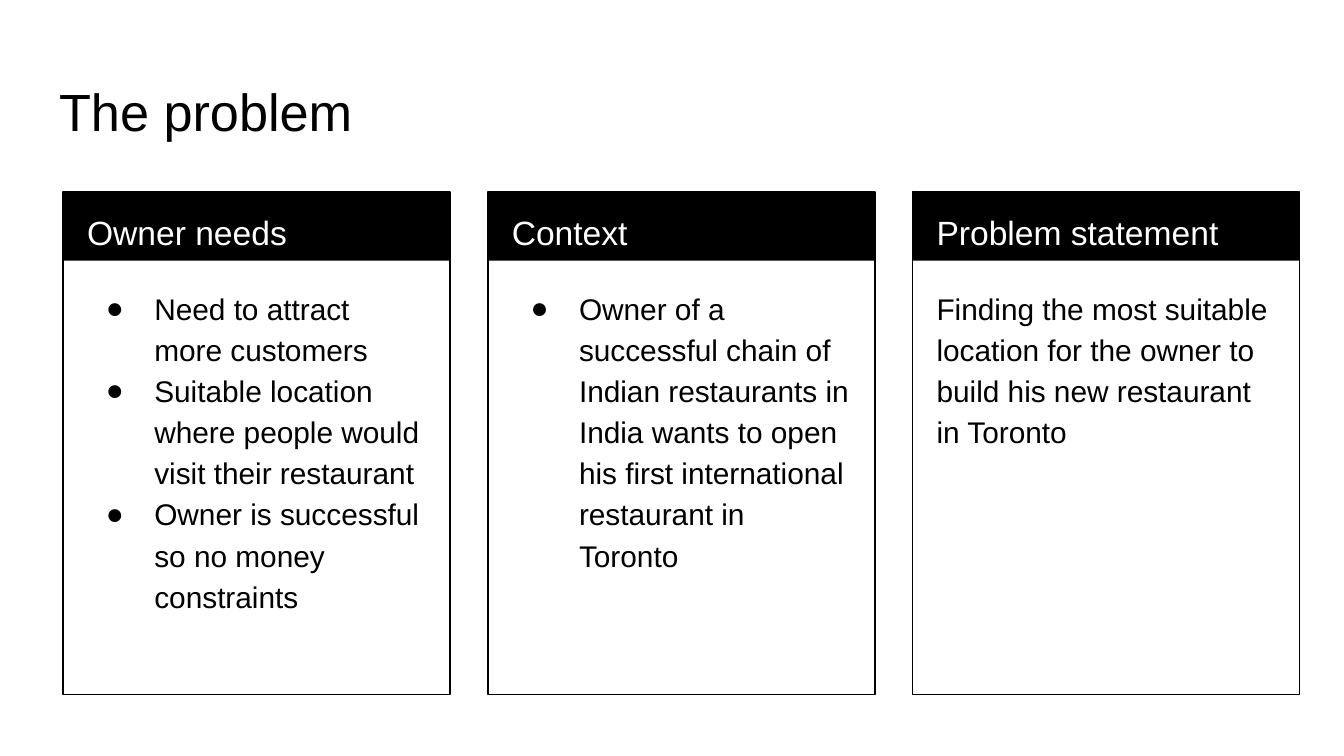
from lxml.etree import SubElement
from pptx import Presentation
from pptx.dml.color import RGBColor
from pptx.enum.shapes import MSO_SHAPE as Shape
from pptx.enum.text import MSO_ANCHOR as Anchor, PP_ALIGN as Align
from pptx.oxml.ns import qn
from pptx.util import Inches, Pt

# Content
TITLE = "The problem"
CARDS = [
    ("Owner needs", True, [
        "Need to attract more customers",
        "Suitable location where people would visit their restaurant",
        "Owner is successful so no money constraints",
    ]),
    ("Context", True, [
        "Owner of a successful chain of Indian restaurants in India "
        "wants to open his first international restaurant in Toronto",
    ]),
    ("Problem statement", False, [
        "Finding the most suitable location for the owner to build "
        "his new restaurant in Toronto",
    ]),
]

# Style and grid, in inches
BLACK = RGBColor(0, 0, 0)
WHITE = RGBColor(255, 255, 255)
FONT = "Arial"
LEFT, TOP, STEP = 0.47, 1.43, 3.16
CARD_WIDTH, CARD_HEIGHT, HEADER_HEIGHT = 2.88, 3.74, 0.51


def add_bullet(para):
    properties = para._p.get_or_add_pPr()
    properties.set("marL", str(Inches(0.5)))
    properties.set("indent", str(Inches(-0.36)))
    color = SubElement(properties, qn("a:buClr"))
    SubElement(color, qn("a:srgbClr"), val=str(BLACK))
    SubElement(properties, qn("a:buFont"), typeface=FONT)
    SubElement(properties, qn("a:buChar"), char="●")


def fill_text(box, lines, size, color, bulleted=False, spacing=1.15):
    frame = box.text_frame
    frame.text = "\n".join(lines)
    frame.word_wrap = True
    frame.vertical_anchor = Anchor.TOP
    frame.margin_left = frame.margin_right = Inches(0.1)
    frame.margin_top = frame.margin_bottom = Inches(0.1)
    for para in frame.paragraphs:
        if bulleted:
            add_bullet(para)
        para.alignment = Align.LEFT
        para.line_spacing = spacing
        for span in para.runs:
            span.font.name = FONT
            span.font.size = Pt(size)
            span.font.color.rgb = color


def add_box(shapes, left, top, width, height):
    return shapes.add_textbox(Inches(left), Inches(top), Inches(width), Inches(height))


def add_rectangle(shapes, left, height):
    box = shapes.add_shape(Shape.RECTANGLE, Inches(left), Inches(TOP),
                           Inches(CARD_WIDTH), Inches(height))
    box.shadow.inherit = False
    return box


def add_card(shapes, left, heading, bulleted, lines):
    # Header band and outline
    band = add_rectangle(shapes, left, HEADER_HEIGHT)
    band.fill.solid()
    band.fill.fore_color.rgb = BLACK
    band.line.fill.background()
    outline = add_rectangle(shapes, left, CARD_HEIGHT)
    outline.fill.background()
    outline.line.color.rgb = BLACK
    outline.line.width = Pt(0.75)

    # Heading and body text
    fill_text(add_box(shapes, left + 0.08, TOP, 2.73, 0.5), [heading], 18, WHITE)
    fill_text(add_box(shapes, left + 0.08, 2.02, 2.71, 3.06), lines, 16, BLACK, bulleted)


# Widescreen page, 16 to 9
deck = Presentation()
deck.slide_width = Inches(10)
deck.slide_height = Inches(10) * 9 // 16
page = deck.slides.add_slide(deck.slide_layouts[5])

# Title
title = page.shapes.title
title.left, title.top = Inches(0.34), Inches(0.49)
title.width, title.height = Inches(9.32), Inches(0.63)
fill_text(title, [TITLE], 28, BLACK, spacing=1)

# Cards
for index, (heading, bulleted, lines) in enumerate(CARDS):
    add_card(page.shapes, LEFT + index * STEP, heading, bulleted, lines)

deck.save("out.pptx")
